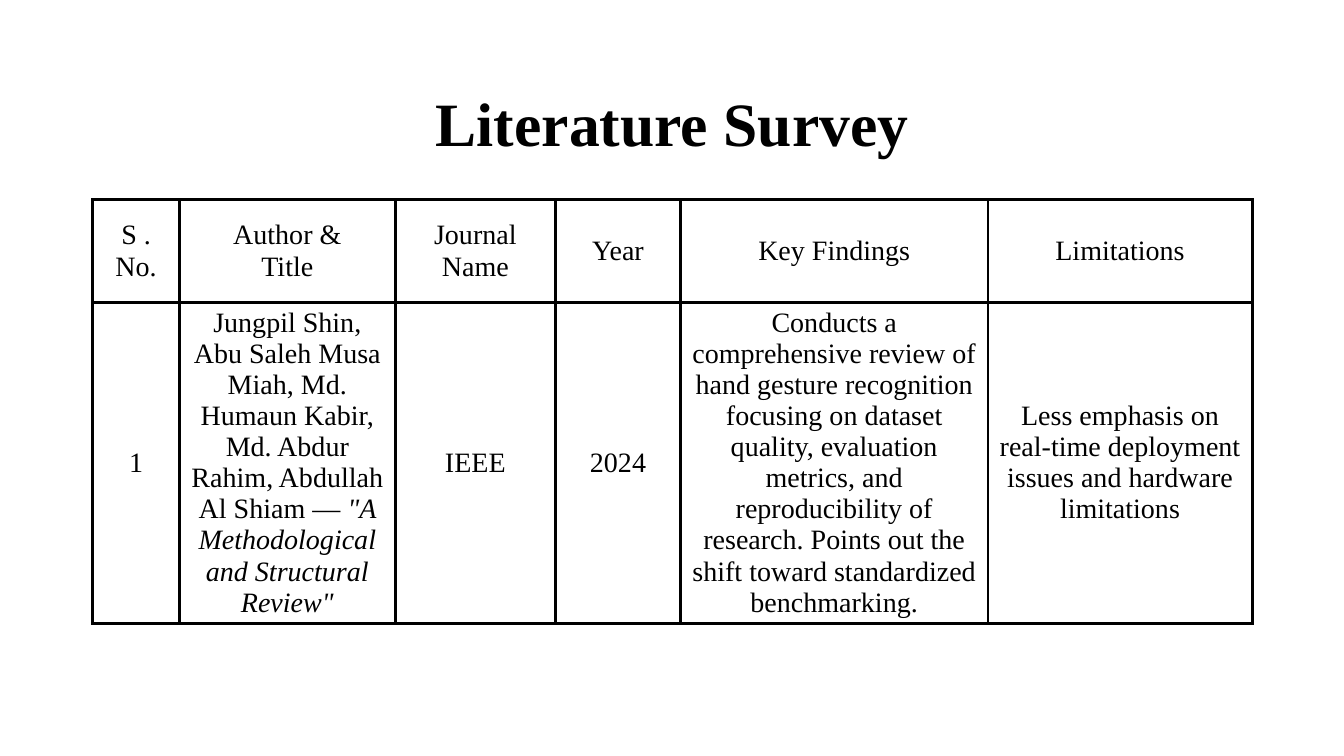
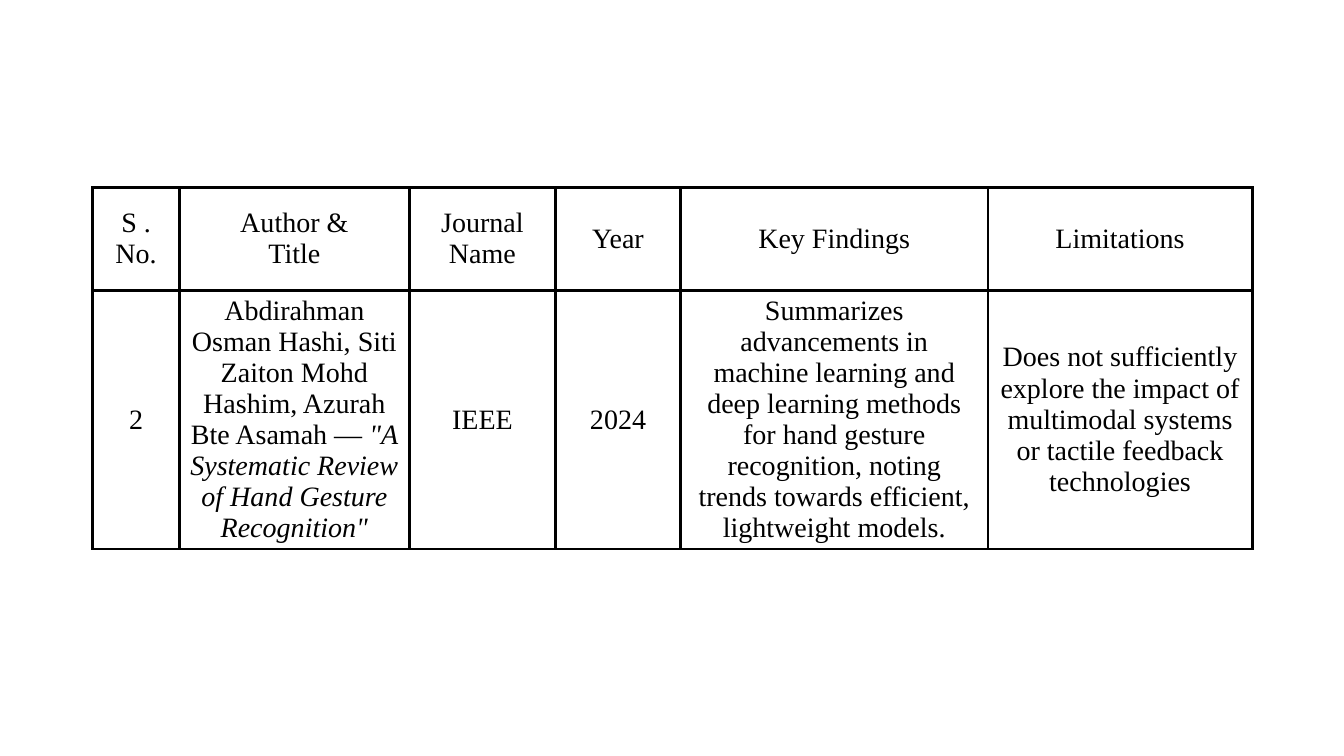
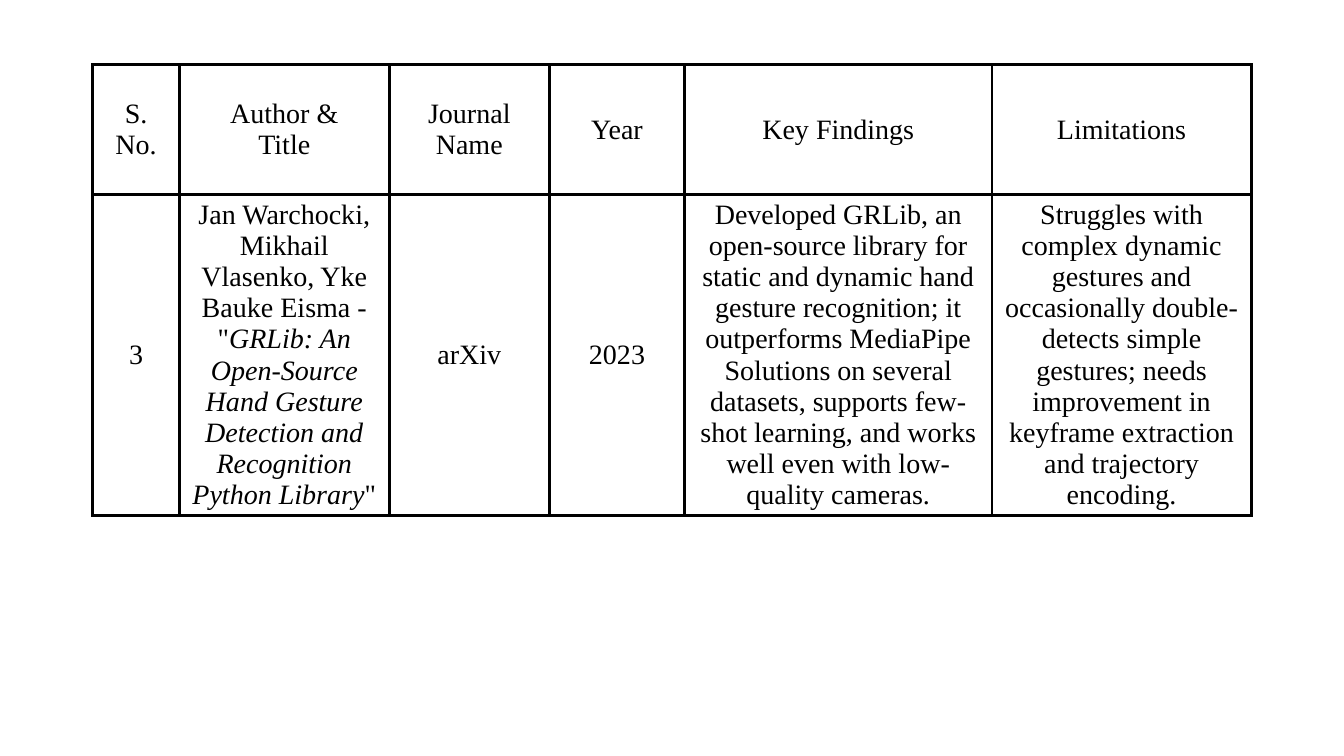
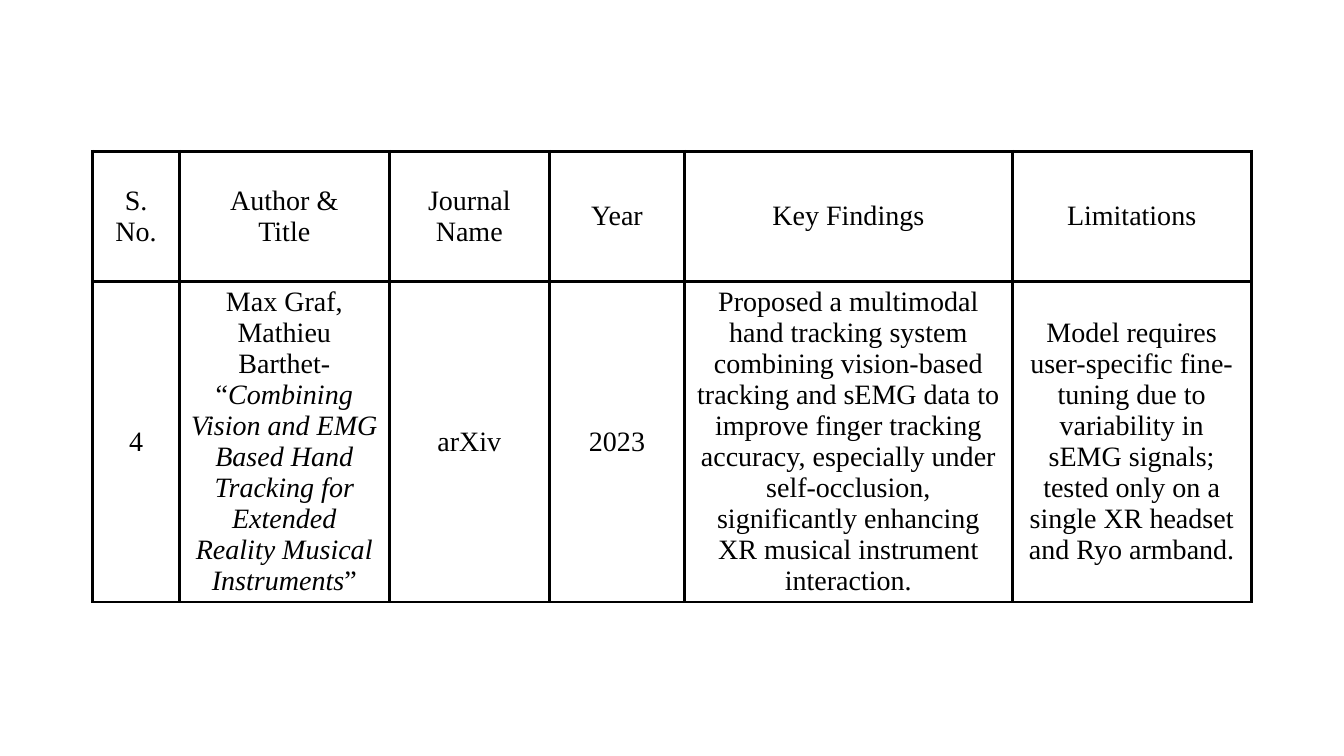
import dataclasses

import pptx
import pptx.dml.color
import pptx.enum.text
import pptx.util
from lxml import etree
from pptx.util import Inches

TITLE_ONLY, BLANK = 5, 6


@dataclasses.dataclass(frozen=True)
class Theme:
    font: str = "Times New Roman"
    ink: str = "000000"
    paper: str = "FFFFFF"
    title_size: int = 44
    table_size: int = 20
    border: float = 2.25
    left: float = 0.92
    width: float = 11.5


class Deck:
    def __init__(self, theme):
        self.theme = theme
        self.prs = pptx.Presentation()
        self.prs.slide_width = Inches(13.33)
        self.prs.slide_height = Inches(7.5)
        self.s = None

    def rgb(self, value):
        return pptx.dml.color.RGBColor.from_string(value)

    def add_slide(self, title=None):
        layout = self.prs.slide_layouts[TITLE_ONLY if title else BLANK]
        self.s = self.prs.slides.add_slide(layout)
        fill = self.s.background.fill
        fill.solid()
        fill.fore_color.rgb = self.rgb(self.theme.paper)
        if title:
            self.title(title)

    def title(self, text):
        sp = self.s.shapes.title
        sp.left, sp.top = Inches(self.theme.left), Inches(0.53)
        sp.width, sp.height = Inches(self.theme.width), Inches(1.45)
        tf = sp.text_frame
        tf.vertical_anchor = pptx.enum.text.MSO_ANCHOR.MIDDLE
        self.set_text(tf, text, self.theme.title_size, bold=True)
        tf.paragraphs[0].line_spacing = 0.9

    def set_text(self, tf, text, size, bold=False):
        """Fill tf with centred text: one paragraph a line, *stars* around italics."""
        tf.text = text
        for p in tf.paragraphs:
            p.alignment = pptx.enum.text.PP_ALIGN.CENTER
            parts = p.text.split("*")
            p.text = parts[0]
            for part in parts[1:]:
                p.add_run().text = part
            for i, r in enumerate(p.runs):
                r.font.name = self.theme.font
                r.font.size = pptx.util.Pt(size)
                r.font.bold = bold
                r.font.italic = i % 2 == 1
                r.font.color.rgb = self.rgb(self.theme.ink)

    def borders(self, cell):
        ns = "{http://schemas.openxmlformats.org/drawingml/2006/main}"
        tcPr = cell._tc.get_or_add_tcPr()
        for side in ("lnL", "lnR", "lnT", "lnB"):
            ln = etree.SubElement(tcPr, ns + side, w=str(pptx.util.Pt(self.theme.border)))
            fill = etree.SubElement(ln, ns + "solidFill")
            etree.SubElement(fill, ns + "srgbClr", val=self.theme.ink)

    def table(self, top, widths, heights, rows):
        t = self.theme
        frame = self.s.shapes.add_table(
            len(rows), len(widths), Inches(t.left), Inches(top),
            Inches(t.width), Inches(sum(heights)))
        table = frame.table
        table.first_row = table.horz_banding = False
        for column, width in zip(table.columns, widths):
            column.width = Inches(width)
        for row, height, texts in zip(table.rows, heights, rows):
            row.height = Inches(height)
            for cell, text in zip(row.cells, texts):
                self.borders(cell)
                cell.fill.background()
                cell.vertical_anchor = pptx.enum.text.MSO_ANCHOR.MIDDLE
                self.set_text(cell.text_frame, text, t.table_size)


HEADINGS = ["Author &\nTitle", "Journal Name", "Year", "Key Findings", "Limitations"]


@dataclasses.dataclass
class Survey:
    """One surveyed paper and the table that presents it."""
    top: float
    widths: list
    heights: list
    number_heading: str
    paper: list
    title: str = None


SURVEYS = [
    Survey(
        1.98, [0.86, 2.14, 1.59, 1.24, 3.05, 2.62], [1.02, 3.18], "S . No.",
        ["1",
         "Jungpil Shin, Abu Saleh Musa Miah, Md. Humaun Kabir, Md. Abdur Rahim, "
         "Abdullah Al Shiam — *\"A Methodological and Structural Review\"",
         "IEEE", "2024",
         "Conducts a comprehensive review of hand gesture recognition focusing on "
         "dataset quality, evaluation metrics, and reproducibility of research. "
         "Points out the shift toward standardized benchmarking.",
         "Less emphasis on real-time deployment issues and hardware limitations"],
        title="Literature Survey"),
    Survey(
        1.86, [0.86, 2.28, 1.45, 1.24, 3.05, 2.62], [1.02, 2.56], "S . No.",
        ["2",
         "Abdirahman Osman Hashi, Siti Zaiton Mohd Hashim, Azurah Bte Asamah — "
         "*\"A Systematic Review of Hand Gesture Recognition\"",
         "IEEE", "2024",
         "Summarizes advancements in machine learning and deep learning methods for "
         "hand gesture recognition, noting trends towards efficient, lightweight models.",
         "Does not sufficiently explore the impact of multimodal systems or tactile "
         "feedback technologies"]),
    Survey(
        0.64, [0.86, 2.08, 1.59, 1.34, 3.05, 2.57], [1.29, 3.18], "S. No.",
        ["3",
         "Jan Warchocki, Mikhail Vlasenko, Yke Bauke Eisma - \"*GRLib: An Open-Source "
         "Hand Gesture Detection and Recognition Python Library*\"",
         "arXiv", "2023",
         "Developed GRLib, an open-source library for static and dynamic hand gesture "
         "recognition; it outperforms MediaPipe Solutions on several datasets, supports "
         "few-shot learning, and works well even with low-quality cameras.",
         "Struggles with complex dynamic gestures and occasionally double-detects simple "
         "gestures; needs improvement in keyframe extraction and trajectory encoding."]),
    Survey(
        1.5, [0.86, 2.08, 1.59, 1.34, 3.25, 2.37], [1.29, 3.18], "S. No.",
        ["4",
         "Max Graf, Mathieu Barthet-\n“*Combining Vision and EMG Based Hand Tracking "
         "for Extended Reality Musical Instruments*”",
         "arXiv", "2023",
         "Proposed a multimodal hand tracking system combining vision-based tracking and "
         "sEMG data to improve finger tracking accuracy, especially under self-occlusion, "
         "significantly enhancing XR musical instrument interaction.",
         "Model requires user-specific fine-tuning due to variability in sEMG signals; "
         "tested only on a single XR headset and Ryo armband."]),
]


def main():
    deck = Deck(Theme())
    for survey in SURVEYS:
        deck.add_slide(survey.title)
        deck.table(survey.top, survey.widths, survey.heights,
                   [[survey.number_heading] + HEADINGS, survey.paper])
    deck.prs.save("out.pptx")


if __name__ == "__main__":
    main()
